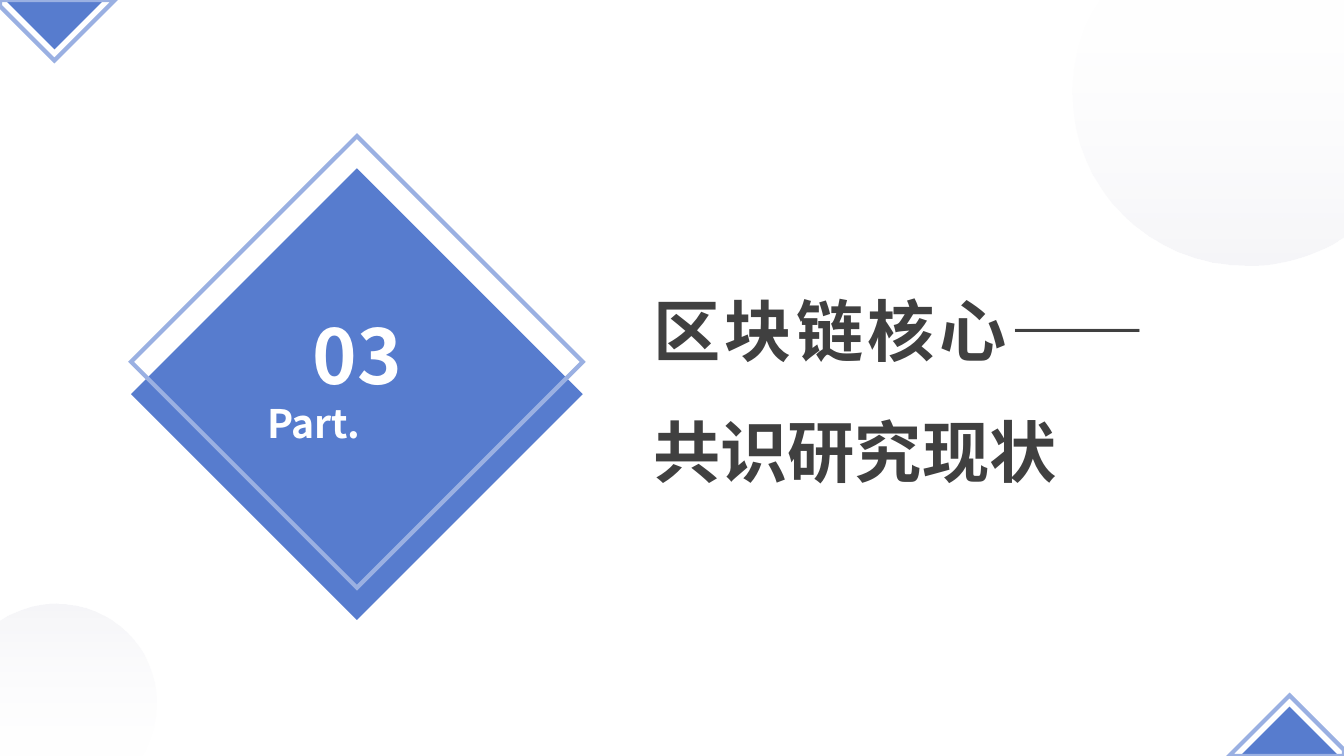
from dataclasses import dataclass
from typing import Optional

from lxml import etree
from pptx import Presentation
from pptx import util as u
from pptx.dml import color as c
from pptx.enum import shapes, text
from pptx.oxml import ns

WIDE, HIGH = 13.33, 7.5
BLUE, PALE, DARK, WHITE, GREY = "577CCE", "9AB0E2", "404040", "FFFFFF", "D8D8E4"
NOTO = "Noto Sans CJK SC"
Point = tuple[float, float]


@dataclass
class Disc:
    edge: list[Point]
    curve: list[Point]
    angle: int


@dataclass
class Mark:
    points: list[Point]
    fill: Optional[str] = None
    line: Optional[str] = None


@dataclass
class Label:
    words: str
    box: tuple[float, float, float, float]
    size: int
    hue: str
    font: str
    para: dict


def tint(code: str) -> c.RGBColor:
    return c.RGBColor.from_string(code)


def paint(shape, fill: Optional[str], line: Optional[str]) -> None:
    shape.shadow.inherit = False
    if fill:
        shape.fill.solid()
        shape.fill.fore_color.rgb = tint(fill)
    else:
        shape.fill.background()
    if line:
        shape.line.color.rgb = tint(line)
        shape.line.width = u.Pt(3)
        stroke = shape._element.spPr.find(ns.qn("a:ln"))
        etree.SubElement(stroke, ns.qn("a:miter"), lim="800000")
    else:
        shape.line.fill.background()


def trace(slide, points: list[Point]):
    spots = [(u.Inches(x), u.Inches(y)) for x, y in points]
    pen = slide.shapes.build_freeform(*spots[0])
    pen.add_line_segments(spots[1:], close=True)
    return pen.convert_to_shape()


def bend(shape, start: int) -> None:
    steps = list(shape._element.spPr.iter(ns.qn("a:lnTo")))[start:]
    for first in range(0, len(steps), 3):
        trio = steps[first:first + 3]
        arc = etree.Element(ns.qn("a:cubicBezTo"))
        trio[0].addprevious(arc)
        for step in trio:
            arc.append(step[0])
            step.getparent().remove(step)


def draw_disc(slide, disc: Disc) -> None:
    shape = trace(slide, disc.edge + disc.curve)
    bend(shape, len(disc.edge) - 1)
    paint(shape, None, None)
    shape.fill.gradient()
    shape.fill.gradient_angle = disc.angle
    for stop, code, place in zip(shape.fill.gradient_stops, (WHITE, GREY), (0, 1)):
        stop.color.rgb = tint(code)
        stop.position = place
    tones = shape._element.spPr.iter(ns.qn("a:srgbClr"))
    for tone, alpha in zip(tones, (10, 24)):
        etree.SubElement(tone, ns.qn("a:alpha"), val=str(alpha * 1000))


def draw_mark(slide, mark: Mark) -> None:
    turned = [(WIDE - x, HIGH - y) for x, y in mark.points]
    for points in (turned, mark.points):
        paint(trace(slide, points), mark.fill, mark.line)


def write(shape, label: Label) -> None:
    shape.left, shape.top, shape.width, shape.height = map(u.Inches, label.box)
    frame = shape.text_frame
    look = {"word_wrap": True, "auto_size": text.MSO_AUTO_SIZE.NONE,
            "vertical_anchor": text.MSO_ANCHOR.TOP}
    for key, value in look.items():
        setattr(frame, key, value)
    para = frame.paragraphs[0]
    for key, value in label.para.items():
        setattr(para, key, value)
    run = para.add_run()
    run.text = label.words
    for key, value in {"size": u.Pt(label.size), "bold": True, "name": label.font}.items():
        setattr(run.font, key, value)
    run.font.color.rgb = tint(label.hue)
    etree.SubElement(run.font._element, ns.qn("a:ea"), typeface=NOTO)


ALIGN = text.PP_ALIGN
DISCS = [
    Disc([(10.92, 0), (13.33, 0), (13.33, 2.34), (13.2, 2.42)],
         [(12.95, 2.55), (12.67, 2.63), (12.37, 2.63),
          (11.41, 2.63), (10.64, 1.87), (10.64, 0.92),
          (10.64, 0.63), (10.71, 0.35), (10.85, 0.11)], 270),
    Disc([(1.39, 7.5), (0, 7.5), (0, 6.16), (0.08, 6.11)],
         [(0.22, 6.04), (0.38, 5.99), (0.55, 5.99),
          (1.1, 5.99), (1.55, 6.43), (1.55, 6.97),
          (1.55, 7.14), (1.5, 7.3), (1.43, 7.44)], 90),
]
MARKS = [
    Mark([(0.54, 0.49), (0.05, 0), (1.03, 0)], fill=BLUE),
    Mark([(0.54, 0.6), (0, 0.06), (0, 0), (1.14, 0)], line=PALE),
]
TITLE = Label("区块链核心——共识研究现状", (6.38, 2.42, 5.12, 2.52), 48, DARK, "Arial",
              {"alignment": ALIGN.JUSTIFY, "line_spacing": 1.5,
               "space_before": u.Pt(0), "space_after": u.Pt(20)})
LABELS = [
    Label("03", (2.66, 3.02, 1.77, 1.01), 54, WHITE, NOTO, {"alignment": ALIGN.CENTER}),
    Label("Part.", (2.55, 3.91, 1.98, 0.57), 28, WHITE, NOTO, {"alignment": ALIGN.JUSTIFY}),
]


def main() -> None:
    deck = Presentation()
    deck.slide_width, deck.slide_height = u.Inches(WIDE), u.Inches(HIGH)
    slide = deck.slides.add_slide(deck.slide_layouts[5])
    for disc in DISCS:
        draw_disc(slide, disc)
    for top, fill, line in ((1.67, BLUE, None), (1.35, None, PALE)):
        box = map(u.Inches, (1.3, top, 4.48, 4.48))
        paint(slide.shapes.add_shape(shapes.MSO_SHAPE.DIAMOND, *box), fill, line)
    for label in LABELS:
        write(slide.shapes.add_textbox(*map(u.Inches, label.box)), label)
    write(slide.shapes.title, TITLE)
    for mark in MARKS:
        draw_mark(slide, mark)
    deck.save("out.pptx")


if __name__ == "__main__":
    main()
